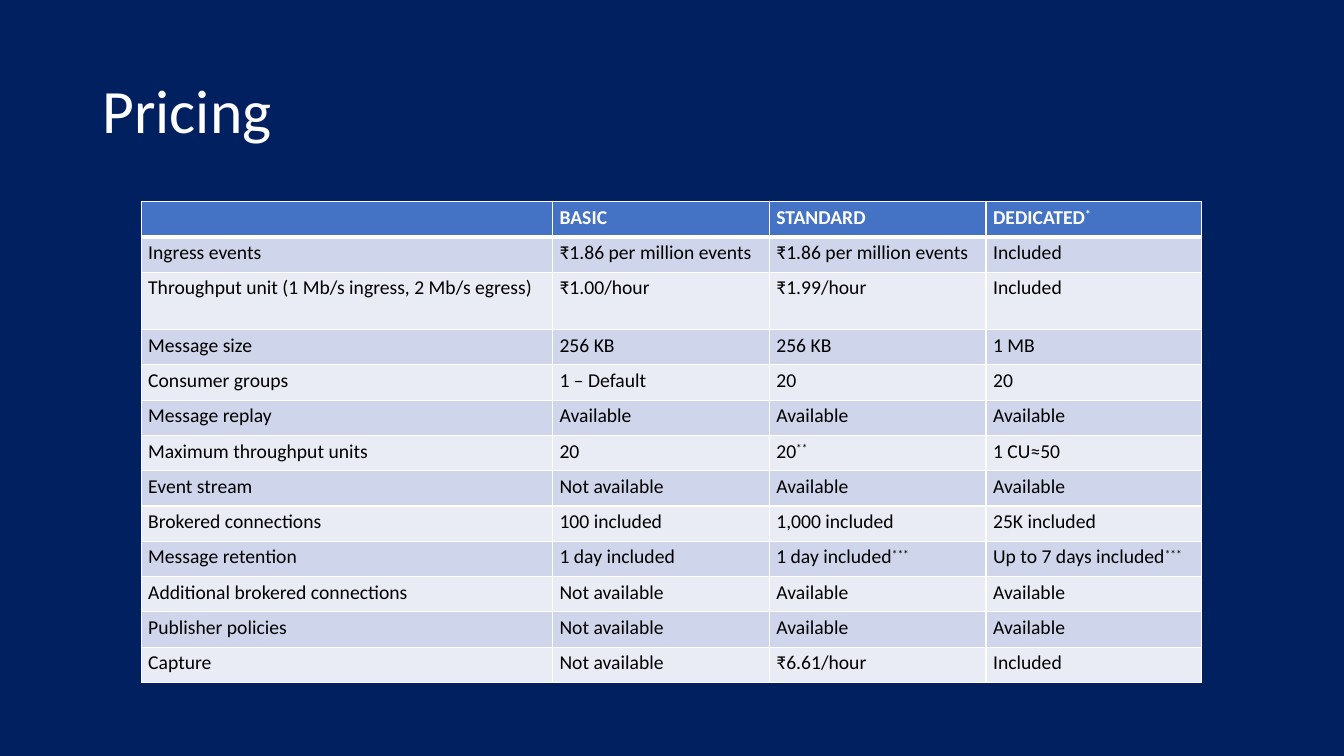
"""Build the pricing slide with its tier comparison table."""
from lxml import etree
from pptx import Presentation
from pptx.dml.color import RGBColor
from pptx.enum.text import MSO_ANCHOR
from pptx.oxml.ns import qn
from pptx.util import Inches, Pt

MIDDLE = MSO_ANCHOR.MIDDLE
NAVY = RGBColor(0x00, 0x20, 0x60)
BLUE = RGBColor(0x44, 0x72, 0xC4)
BAND_DARK = RGBColor(0xCF, 0xD5, 0xEA)
BAND_LIGHT = RGBColor(0xE9, 0xEB, 0xF5)
WHITE = RGBColor(0xFF, 0xFF, 0xFF)
BLACK = RGBColor(0x00, 0x00, 0x00)
FONT = "Calibri"

COL_WIDTHS = [4.08, 2.15, 2.15, 2.14]
ROW_HEIGHT, TALL_ROW, TALL_HEIGHT = 0.35, 2, 0.57
MARGINS = {"margin_left": 0.07, "margin_right": 0.04,
           "margin_top": 0.04, "margin_bottom": 0.04}
PRICING = [
    ["", "BASIC", "STANDARD", "DEDICATED*"],
    ["Ingress events", "₹1.86 per million events", "₹1.86 per million events", "Included"],
    ["Throughput unit (1 Mb/s ingress, 2 Mb/s egress)", "₹1.00/hour", "₹1.99/hour", "Included"],
    ["Message size", "256 KB", "256 KB", "1 MB"],
    ["Consumer groups", "1 – Default", "20", "20"],
    ["Message replay", "Available", "Available", "Available"],
    ["Maximum throughput units", "20", "20**", "1 CU≈50"],
    ["Event stream", "Not available", "Available", "Available"],
    ["Brokered connections", "100 included", "1,000 included", "25K included"],
    ["Message retention", "1 day included", "1 day included***", "Up to 7 days included***"],
    ["Additional brokered connections", "Not available", "Available", "Available"],
    ["Publisher policies", "Not available", "Available", "Available"],
    ["Capture", "Not available", "₹6.61/hour", "Included"],
]


def add_run(p, text, size, color, bold=False):
    r = p.add_run()
    r.text = text
    for name, value in {"name": FONT, "size": Pt(size), "bold": bold}.items():
        setattr(r.font, name, value)
    r.font.color.rgb = color
    return r


def add_borders(cell, bottom_width):
    tc_pr = cell._tc.get_or_add_tcPr()
    for side, width in {"L": 1, "R": 1, "T": 1, "B": bottom_width}.items():
        ln = etree.SubElement(tc_pr, qn(f"a:ln{side}"), w=str(Pt(width)))
        fill = etree.SubElement(ln, qn("a:solidFill"))
        etree.SubElement(fill, qn("a:srgbClr"), val=str(WHITE))


prs = Presentation()
prs.slide_width, prs.slide_height = Inches(13.33), Inches(7.5)
s = prs.slides.add_slide(prs.slide_layouts[6])
s.background.fill.solid()
s.background.fill.fore_color.rgb = NAVY

title = s.shapes.add_textbox(Inches(0.92), Inches(0.4), Inches(11.5), Inches(1.45))
tf = title.text_frame
tf.word_wrap = True
tf.vertical_anchor = MIDDLE
p = tf.paragraphs[0]
p.line_spacing = 0.9
add_run(p, "Pricing", 44, WHITE)

table = s.shapes.add_table(len(PRICING), len(COL_WIDTHS), Inches(1.4), Inches(2),
                           Inches(10.53), Inches(4.76)).table
for column, width in zip(table.columns, COL_WIDTHS):
    column.width = Inches(width)

for i, values in enumerate(PRICING):
    header = i == 0
    table.rows[i].height = Inches(TALL_HEIGHT if i == TALL_ROW else ROW_HEIGHT)
    band = BLUE if header else BAND_DARK if i % 2 else BAND_LIGHT
    color = WHITE if header else BLACK
    for j, value in enumerate(values):
        cell = table.cell(i, j)
        for name, margin in MARGINS.items():
            setattr(cell, name, Inches(margin))
        add_borders(cell, 3 if header else 1)
        cell.fill.solid()
        cell.fill.fore_color.rgb = band
        p = cell.text_frame.paragraphs[0]
        text = value.rstrip("*")
        stars = value[len(text):]
        if text:
            add_run(p, text, 14, color, header)
        else:
            etree.SubElement(p._p, qn("a:endParaRPr"), sz="1400")
        if stars:
            r = add_run(p, stars, 14, color, header)
            r.font._element.set("baseline", "30000")

prs.save("out.pptx")
